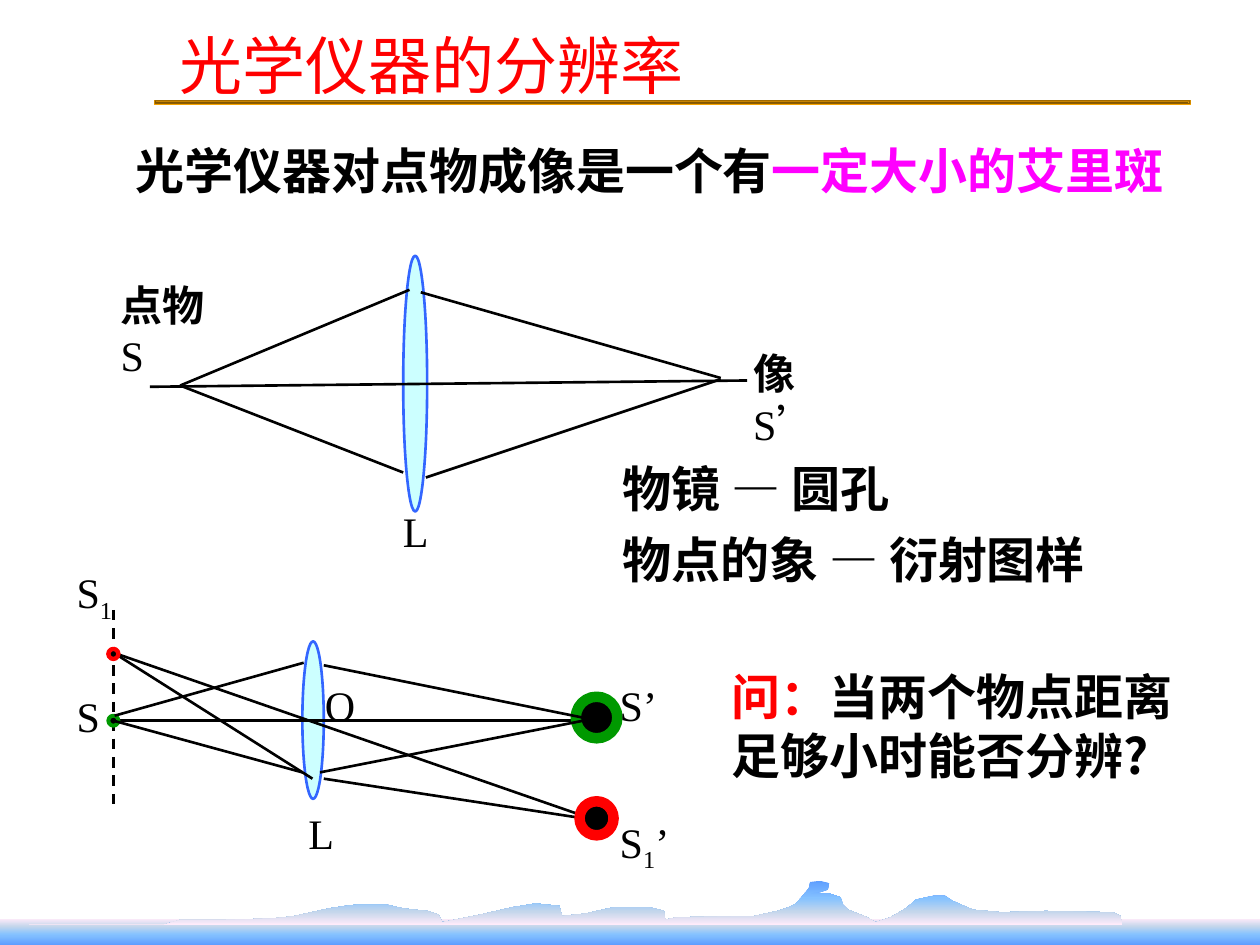
from lxml.etree import SubElement
from pptx import Presentation
from pptx.dml.color import RGBColor
from pptx.enum.dml import MSO_LINE
from pptx.enum.shapes import MSO_CONNECTOR as CONNECTOR, MSO_SHAPE as SHAPE
from pptx.oxml.ns import qn
from pptx.util import Inches, Pt

CJK, LATIN = "Noto Sans CJK SC", "Times New Roman"
BLACK, RED, GREEN, MAGENTA = "000000", "FF0000", "009900", "FF00FF"
LENS_FILL, LENS_EDGE = "CCFFFF", "3366FF"
GOLD = list(zip((0, 13, 28, 43, 58, 72, 87, 100), ("825600", "FFA800") * 4))
SEA = [(0, "FFEBFA"), (30, "C4D6EB"), (60, "85C2FF"), (100, "5E9EFF")]
HILLS = [(0, "5E9EFF"), (40, "85C2FF"), (70, "C4D6EB"), (100, "FFEBFA")]

RIDGE = [
    (0.23, 7.34), (1.3, 7.34), (1.43, 7.3), (1.78, 7.3), (2.14, 7.29), (2.26, 7.28),
    (2.34, 7.27), (2.43, 7.25), (2.61, 7.21), (2.74, 7.19), (2.83, 7.18), (3.07, 7.18),
    (3.2, 7.21), (3.39, 7.23), (3.48, 7.26), (3.51, 7.32), (3.81, 7.26), (3.94, 7.23),
    (4.07, 7.2), (4.25, 7.17), (4.44, 7.19), (4.46, 7.27), (4.65, 7.25), (4.87, 7.2),
    (5.15, 7.2), (5.27, 7.23), (5.28, 7.3), (5.37, 7.28), (5.89, 7.27), (5.99, 7.27),
    (6.17, 7.23), (6.26, 7.2), (6.32, 7.17), (6.42, 7.05), (6.43, 7), (6.51, 6.99),
    (6.58, 7.01), (6.57, 7.06), (6.51, 7.08), (6.41, 7.09), (6.58, 7.09), (6.67, 7.12),
    (6.69, 7.18), (6.73, 7.22), (6.88, 7.28), (6.95, 7.32), (7.07, 7.28), (7.19, 7.21),
    (7.27, 7.14), (7.36, 7.12), (7.41, 7.11), (7.5, 7.11), (7.56, 7.15), (7.72, 7.22),
    (7.95, 7.24), (8.3, 7.23), (8.83, 7.24), (8.89, 7.27), (8.91, 7.34),
]

LENSES = [(3.2, 2.03, 0.19, 2.03), (2.4, 5.09, 0.17, 1.25)]
SINGLE_RAYS = [
    (1.19, 3.07, 5.93, 3.02), (1.43, 3.06, 3.25, 2.3), (3.34, 2.32, 5.72, 3),
    (3.38, 3.79, 5.72, 3.01), (1.43, 3.06, 3.2, 3.75),
]
OBJECT_PLANE = (0.9, 4.84, 0.9, 6.38)
DOUBLE_RAYS = [
    (0.91, 5.72, 4.8, 5.72), (0.9, 5.18, 4.73, 6.51),
    (2.57, 6.18, 4.73, 6.51), (0.9, 5.18, 2.48, 6.18),
]
FRONT_RAYS = [
    (2.57, 5.28, 4.65, 5.7), (2.54, 6.13, 4.63, 5.72),
    (0.91, 5.68, 2.41, 5.26), (0.9, 5.72, 2.4, 6.13),
]
SPOTS = [
    (0.86, 5.68, 0.08, GREEN, 2.25), (0.86, 5.15, 0.08, RED, 2.5),
    (4.6, 6.36, 0.27, RED, 6), (4.57, 5.53, 0.33, GREEN, 6),
]

PLAIN = dict(size=24, font=LATIN, color=BLACK)
BOLD = dict(PLAIN, bold=True)
SUB = dict(PLAIN, baseline=-25)
BODY = dict(size=28, font=CJK, color=BLACK, bold=True)
TITLE = dict(size=36, font=CJK, color=RED)
LABELS = [
    ((0.86, 2.17, 1.06, 0.5), [("点物\v", BOLD), ("S", PLAIN)]),
    ((5.88, 2.71, 0.83, 0.5), [("像\v", BOLD), ("S’", PLAIN)]),
    ((3.1, 3.96, 0.4, 0.5), [("L", PLAIN)]),
    ((0.51, 4.45, 0.5, 0.5), [("S", PLAIN), ("1", SUB)]),
    ((0.51, 5.43, 0.39, 0.5), [("S", PLAIN)]),
    ((4.82, 5.34, 0.5, 0.5), [("S’", PLAIN)]),
    ((4.82, 6.43, 0.61, 0.5), [("S", PLAIN), ("1", SUB), ("’", PLAIN)]),
    ((2.35, 6.36, 0.4, 0.5), [("L", PLAIN)]),
    ((2.48, 5.34, 0.44, 0.5), [("O", PLAIN)]),
]
PASSAGES = [
    ((0.98, 1.07, 8.47, 0.57),
     [[("光学仪器对点物成像是一个有", BODY), ("一定大小的艾里斑", dict(BODY, color=MAGENTA))]]),
    ((5.71, 5.24, 3.86, 1.03),
     [[("问：", dict(BODY, font=LATIN, color=RED)), ("当两个物点距离足够小时能否分辨?", BODY)]]),
    ((1.33, 0.16, 4.53, 0.71), [[("光学仪器的分辨率", TITLE)]]),
    ((4.84, 3.59, 4.71, 1.28), [[("物镜 — 圆孔", BODY)], [("物点的象 — 衍射图样", BODY)]]),
]


def rgb(value):
    return RGBColor.from_string(value)


def inches(values):
    return [Inches(value) for value in values]


def add_gradient(shape, stops, centred=False):
    shape.shadow.inherit = False
    shape.line.fill.background()
    shape.fill.gradient()
    gradient = shape._element.spPr.find(qn("a:gradFill"))
    for child in list(gradient):
        gradient.remove(child)
    stop_list = SubElement(gradient, qn("a:gsLst"))
    for position, color in stops:
        stop = SubElement(stop_list, qn("a:gs"), pos=str(position * 1000))
        SubElement(stop, qn("a:srgbClr"), val=color)
    if centred:
        route = SubElement(gradient, qn("a:path"), {"path": "shape"})
        SubElement(route, qn("a:fillToRect"), dict.fromkeys("ltrb", "50000"))
    else:
        SubElement(gradient, qn("a:lin"), ang="5400000", scaled="0")


def add_oval(page, place, fill, edge, width):
    oval = page.shapes.add_shape(SHAPE.OVAL, *inches(place))
    oval.shadow.inherit = False
    oval.fill.solid()
    oval.fill.fore_color.rgb = rgb(fill)
    oval.line.color.rgb = rgb(edge)
    oval.line.width = Pt(width)


def add_ray(page, ends):
    ray = page.shapes.add_connector(CONNECTOR.STRAIGHT, *inches(ends))
    ray.line.color.rgb = rgb(BLACK)
    ray.line.width = Pt(1.5)
    SubElement(ray._element.spPr, qn("a:effectLst"))
    return ray


def add_text(page, place, paragraphs, wrap):
    box = page.shapes.add_textbox(*inches(place))
    box.text_frame.word_wrap = wrap
    for index, spans in enumerate(paragraphs):
        para = box.text_frame.add_paragraph() if index else box.text_frame.paragraphs[0]
        if index:
            para.space_before = Pt(7)
        for text, look in spans:
            span = para.add_run()
            span.text = text.rstrip("\v")
            if text.endswith("\v"):
                para.add_line_break()
            values = dict(size=Pt(look["size"]), name=look["font"], bold=look.get("bold", False))
            for name, value in values.items():
                setattr(span.font, name, value)
            span.font.color.rgb = rgb(look["color"])
            properties = span._r.get_or_add_rPr()
            SubElement(properties, qn("a:ea"), typeface=CJK)
            if "baseline" in look:
                properties.set("baseline", str(look["baseline"] * 1000))


def main():
    """Build the slide on the resolving power of optical instruments."""
    deck = Presentation()
    deck.slide_width, deck.slide_height = inches((10, 7.5))
    page = deck.slides.add_slide(deck.slide_layouts[6])

    rule = page.shapes.add_shape(SHAPE.RECTANGLE, *inches((1.22, 0.79, 8.23, 0.04)))
    add_gradient(rule, GOLD, centred=True)
    sea = page.shapes.add_shape(SHAPE.RECTANGLE, *inches((0, 7.29, 10, 0.21)))
    add_gradient(sea, SEA)
    outline = [inches(point) for point in RIDGE]
    builder = page.shapes.build_freeform(*outline[0])
    builder.add_line_segments(outline[1:], close=True)
    add_gradient(builder.convert_to_shape(), HILLS)

    for place in LENSES:
        add_oval(page, place, LENS_FILL, LENS_EDGE, 1.5)
    add_ray(page, OBJECT_PLANE).line.dash_style = MSO_LINE.DASH
    for ends in SINGLE_RAYS + DOUBLE_RAYS:
        add_ray(page, ends)
    for left, top, size, edge, width in SPOTS:
        add_oval(page, (left, top, size, size), BLACK, edge, width)
    for ends in FRONT_RAYS:
        add_ray(page, ends)
    for place, spans in LABELS:
        add_text(page, place, [spans], wrap=False)
    for place, paragraphs in PASSAGES:
        add_text(page, place, paragraphs, wrap=True)
    deck.save("out.pptx")


if __name__ == "__main__":
    main()
